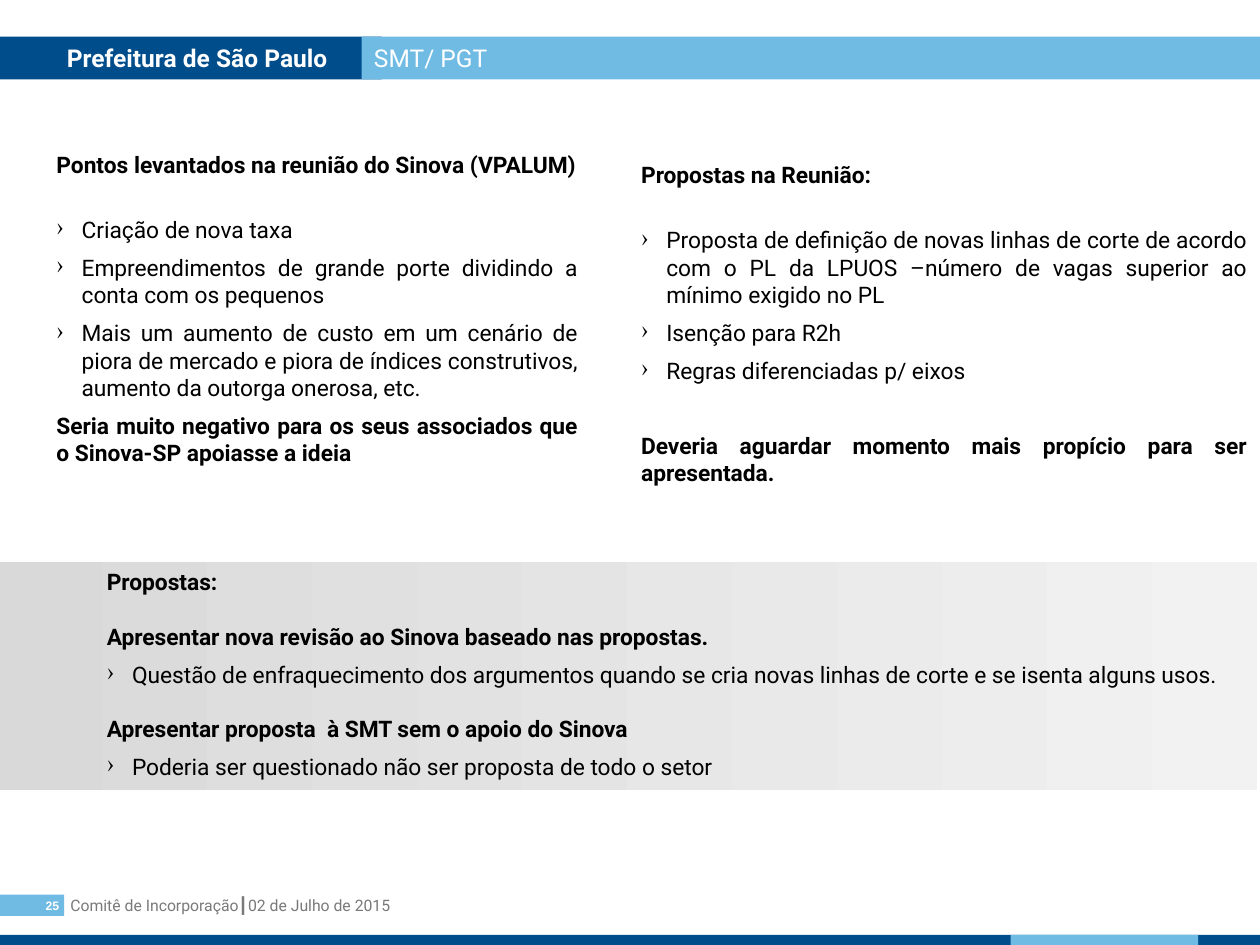
from lxml import etree
from pptx import Presentation
from pptx.dml.color import RGBColor
from pptx.enum.shapes import MSO_SHAPE
from pptx.enum.text import MSO_ANCHOR, MSO_AUTO_SIZE, PP_ALIGN
from pptx.oxml.ns import qn
from pptx.util import Inches, Pt

RECTANGLE = MSO_SHAPE.RECTANGLE
TOP, MIDDLE = MSO_ANCHOR.TOP, MSO_ANCHOR.MIDDLE
FIXED, GROW = MSO_AUTO_SIZE.NONE, MSO_AUTO_SIZE.SHAPE_TO_FIT_TEXT
LEFT, RIGHT, JUSTIFY = PP_ALIGN.LEFT, PP_ALIGN.RIGHT, PP_ALIGN.JUSTIFY

NAVY = RGBColor(0x00, 0x4D, 0x8C)
SKY = RGBColor(0x6F, 0xBB, 0xE4)
WHITE = RGBColor(0xFF, 0xFF, 0xFF)
BLACK = RGBColor(0x00, 0x00, 0x00)
GREY = RGBColor(0x79, 0x79, 0x79)
PANEL_START = RGBColor(0xD9, 0xD9, 0xD9)
PANEL_END = RGBColor(0xF2, 0xF2, 0xF2)

HEADING = {"bold": True}
BULLET = {"bullet": True, "alignment": JUSTIFY, "level": 1, "space_before": 6}
FIRST_BULLET = BULLET | {"space_before": 21.5}
CLOSING = {"bold": True, "alignment": JUSTIFY, "level": 1, "space_before": 6}
LATE_CLOSING = CLOSING | {"space_before": 27.5}
PROPOSAL = {"bold": True, "alignment": JUSTIFY, "space_before": 15.5}

CONCERNS = [
    ("Pontos levantados na reunião do Sinova (VPALUM)", HEADING),
    ("Criação de nova taxa", FIRST_BULLET),
    ("Empreendimentos de grande porte dividindo a conta com os pequenos", BULLET),
    ("Mais um aumento de custo em um cenário de piora de mercado e piora de "
     "índices construtivos, aumento da outorga onerosa, etc.", BULLET),
    ("Seria muito negativo para os seus associados que o Sinova-SP apoiasse a ideia", CLOSING),
]
MEETING_PROPOSALS = [
    ("Propostas na Reunião:", HEADING),
    ("Proposta de definição de novas linhas de corte de acordo com o PL da LPUOS "
     "–número de vagas superior ao mínimo exigido no PL", FIRST_BULLET),
    ("Isenção para R2h", BULLET),
    ("Regras diferenciadas p/ eixos", BULLET),
    ("Deveria aguardar momento mais propício para ser apresentada.", LATE_CLOSING),
]
NEXT_STEPS = [
    ("Propostas:", HEADING),
    ("Apresentar nova revisão ao Sinova baseado nas propostas.", PROPOSAL),
    ("Questão de enfraquecimento dos argumentos quando se cria novas linhas de corte "
     "e se isenta alguns usos.", BULLET),
    ("Apresentar proposta  à SMT sem o apoio do Sinova", PROPOSAL),
    ("Poderia ser questionado não ser proposta de todo o setor", BULLET),
]


class SlideBuilder:
    """Holds the text style and the current slide, and adds each kind of element."""

    font_name = "Roboto"
    text_size = 13
    bullet_indent = 0.2

    def __init__(self, slide):
        self.slide = slide

    def paragraph(self, paragraph, text, style):
        properties = paragraph._p.get_or_add_pPr()
        has_bullet = style.get("bullet", False)
        margin = self.bullet_indent if has_bullet else style.get("margin", 0)
        properties.set("marL", str(Inches(margin)))
        properties.set("indent", str(-Inches(margin) if has_bullet else 0))
        if has_bullet:
            color = etree.SubElement(properties, qn("a:buClr"))
            etree.SubElement(color, qn("a:srgbClr"), val=str(BLACK))
            etree.SubElement(properties, qn("a:buChar"), char="›")
        else:
            etree.SubElement(properties, qn("a:buNone"))
        layout = {
            "alignment": style.get("alignment", LEFT),
            "level": style.get("level", 0),
            "space_before": Pt(style.get("space_before", 0)),
        }
        for name, value in layout.items():
            setattr(paragraph, name, value)
        run = paragraph.add_run()
        run.text = text
        font = {
            "name": style.get("font", self.font_name),
            "size": Pt(style.get("size", self.text_size)),
            "bold": style.get("bold", False),
        }
        for name, value in font.items():
            setattr(run.font, name, value)
        run.font.color.rgb = style.get("color", BLACK)

    def frame(self, shape, items, **settings):
        frame = shape.text_frame
        for name, value in ({"word_wrap": True, "vertical_anchor": TOP} | settings).items():
            setattr(frame, name, value)
        for index, (text, style) in enumerate(items):
            paragraph = frame.add_paragraph() if index else frame.paragraphs[0]
            self.paragraph(paragraph, text, style)

    def text(self, box, items):
        shape = self.slide.shapes.add_textbox(*map(Inches, box))
        self.frame(shape, items, auto_size=GROW)

    def rectangle(self, box, color):
        shape = self.slide.shapes.add_shape(RECTANGLE, *map(Inches, box))
        shape.shadow.inherit = False
        shape.fill.solid()
        shape.fill.fore_color.rgb = color
        shape.line.fill.background()
        return shape

    def gradient_panel(self, box, colors):
        shape = self.rectangle(box, colors[0])
        shape.fill.gradient()
        shape.fill.gradient_angle = 0
        for stop, color in zip(shape.fill.gradient_stops, colors):
            stop.color.rgb = color

    def title(self, box, text, style, color):
        shape = self.slide.shapes.title
        for name, value in zip(("left", "top", "width", "height"), box):
            setattr(shape, name, Inches(value))
        shape.fill.solid()
        shape.fill.fore_color.rgb = color
        self.frame(shape, [(text, style)], vertical_anchor=MIDDLE, auto_size=FIXED,
                   margin_left=Inches(0.04), margin_right=Inches(0.04))


def main():
    presentation = Presentation()
    presentation.slide_width = Inches(10)
    presentation.slide_height = Inches(7.5)
    builder = SlideBuilder(presentation.slides.add_slide(presentation.slide_layouts[5]))

    header = {"size": 14, "color": WHITE}
    builder.title((0, 0.29, 3.03, 0.34), "Prefeitura de São Paulo",
                  header | {"bold": True, "margin": 0.49}, NAVY)
    subject = builder.rectangle((2.87, 0.29, 7.13, 0.34), SKY)
    builder.frame(subject, [("SMT/ PGT", header)], vertical_anchor=MIDDLE)

    builder.text((0.46, 7.06, 7.3, 0.25),
                 [("Comitê de Incorporação┃02 de Julho de 2015", {"size": 9, "color": GREY})])
    page_number = builder.rectangle((0, 7.1, 0.51, 0.17), SKY)
    number_style = {"size": 7, "font": "Arial", "color": WHITE, "bold": True, "alignment": RIGHT}
    builder.frame(page_number, [("25", number_style)], vertical_anchor=MIDDLE, margin_left=0,
                  margin_top=0, margin_right=Inches(0.04), margin_bottom=0)
    builder.rectangle((0, 7.42, 10, 0.08), NAVY)
    builder.rectangle((8.02, 7.42, 1.49, 0.08), SKY)

    builder.gradient_panel((-0.02, 4.46, 10, 1.81), (PANEL_START, PANEL_END))
    builder.text((0.35, 1.15, 4.33, 3.06), CONCERNS)
    builder.text((4.99, 1.23, 5, 2.93), MEETING_PROPOSALS)
    builder.text((0.75, 4.46, 9.53, 1.8), NEXT_STEPS)

    presentation.save("out.pptx")


if __name__ == "__main__":
    main()
